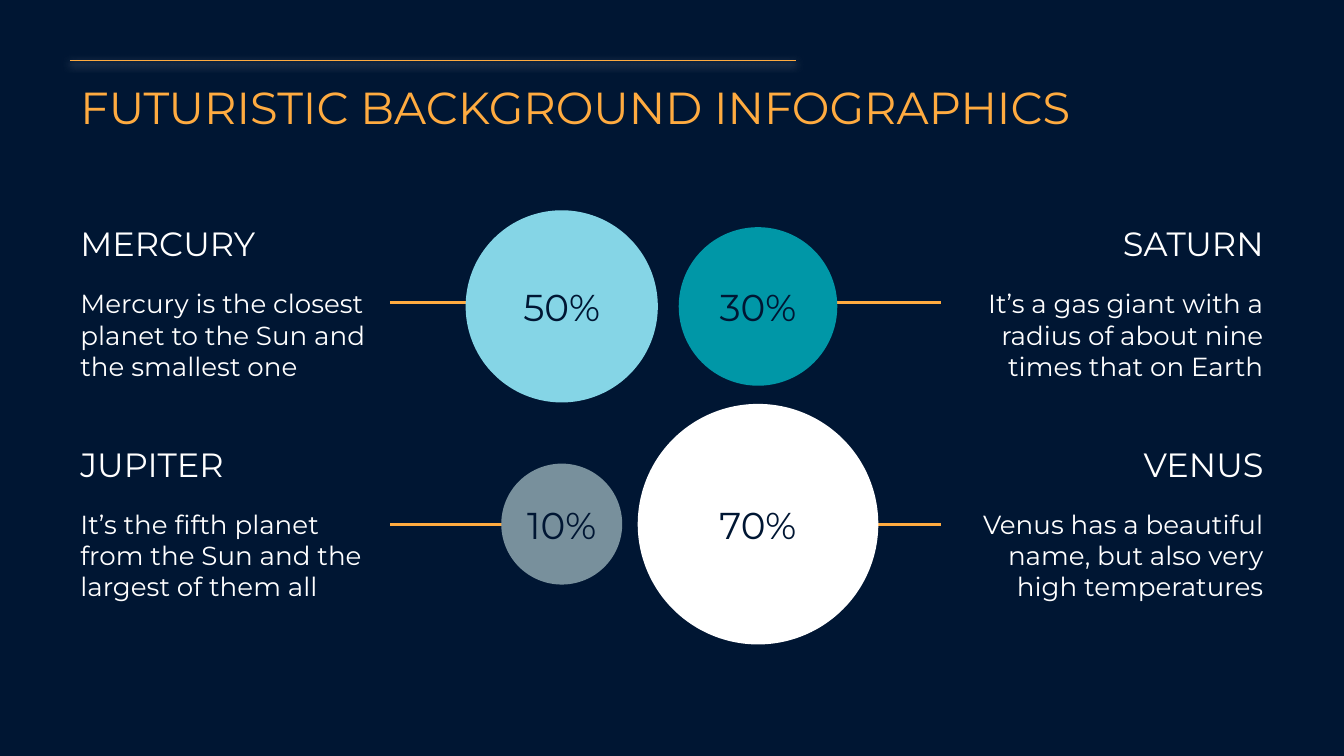
import lxml.etree
import pptx
import pptx.dml.color
import pptx.enum.shapes
import pptx.enum.text
import pptx.oxml
import pptx.oxml.ns
import pptx.util

Inches = pptx.util.Inches
ALIGN = pptx.enum.text.PP_ALIGN
ANCHOR = pptx.enum.text.MSO_ANCHOR
COLORS = {
    "night": "001633",
    "orange": "FFAB40",
    "white": "FFFFFF",
    "sky": "85D5E6",
    "teal": "0097A7",
    "slate": "78909C",
}


def rgb(name):
    return pptx.dml.color.RGBColor.from_string(COLORS[name])


def write(shape, text, size, color="white", align=ALIGN.LEFT, anchor=ANCHOR.TOP, inset=0.1, wrap=True):
    frame = shape.text_frame
    frame.word_wrap = wrap
    frame.vertical_anchor = anchor
    frame.margin_left = frame.margin_right = Inches(inset)
    frame.margin_top = frame.margin_bottom = Inches(inset)
    para = frame.paragraphs[0]
    para.alignment = align
    span = para.add_run()
    span.text = text
    span.font.name = "Montserrat"
    span.font.size = pptx.util.Pt(size)
    span.font.color.rgb = rgb(color)


deck = pptx.Presentation()
deck.slide_width = Inches(10)
deck.slide_height = Inches(10 * 9 / 16)
page = deck.slides.add_slide(deck.slide_layouts[6])
page.background.fill.solid()
page.background.fill.fore_color.rgb = rgb("night")

planets = [
    ("MERCURY", "Mercury is the closest planet to the Sun and the smallest one",
     "50%", "sky", 1.43, "left", 0, 3.52),
    ("SATURN", "It’s a gas giant with a radius of about nine times that on Earth",
     "30%", "teal", 1.18, "right", 0, 6.02),
    ("JUPITER", "It’s the fifth planet from the Sun and the largest of them all",
     "10%", "slate", 0.9, "left", 1, 3.89),
    ("VENUS", "Venus has a beautiful name, but also very high temperatures",
     "70%", "white", 1.79, "right", 1, 6.43),
]
sides = {"left": (0.5, 2.9, 4.18, ALIGN.LEFT), "right": (7.06, 7, 5.64, ALIGN.RIGHT)}
rows = [(1.46, 2.25, 2.28), (3.1, 3.9, 3.9)]

lines = [(0.52, 5.92, 0.45, 0.75)]
for *_, side, row, line_end in planets:
    lines.append((sides[side][1], line_end, rows[row][1], 1.6))

for start, end, top, weight in lines:
    line = page.shapes.add_connector(
        pptx.enum.shapes.MSO_CONNECTOR.STRAIGHT, Inches(start), Inches(top), Inches(end), Inches(top))
    line.line.color.rgb = rgb("orange")
    line.line.width = pptx.util.Pt(weight)
    effects = lxml.etree.SubElement(line._element.spPr, pptx.oxml.ns.qn("a:effectLst"))
    if top == 0.45:
        shadow = lxml.etree.SubElement(
            effects, pptx.oxml.ns.qn("a:outerShdw"), blurRad=str(pptx.util.Pt(4.5)),
            dist=str(pptx.util.Pt(1.5)), dir="5400000", algn="bl", rotWithShape="0")
        tint = lxml.etree.SubElement(shadow, pptx.oxml.ns.qn("a:srgbClr"), val=COLORS["white"])
        lxml.etree.SubElement(tint, pptx.oxml.ns.qn("a:alpha"), val="50000")

title = page.shapes.add_textbox(Inches(0.5), Inches(0.49), Inches(8.75), Inches(0.52))
write(title, "FUTURISTIC BACKGROUND INFOGRAPHICS", 24, color="orange")

for name, fact, share, color, diameter, side, row, _ in planets:
    left, _, center_x, align = sides[side]
    top, _, center_y = rows[row]

    circle = page.shapes.add_shape(
        pptx.enum.shapes.MSO_SHAPE.OVAL, Inches(center_x - diameter / 2),
        Inches(center_y - diameter / 2), Inches(diameter), Inches(diameter))
    circle.shadow.inherit = False
    circle.fill.solid()
    circle.fill.fore_color.rgb = rgb(color)
    circle.line.fill.background()
    write(circle, share, 20, color="night", align=ALIGN.CENTER, anchor=ANCHOR.MIDDLE, inset=0, wrap=False)

    heading = page.shapes.add_textbox(Inches(left), Inches(top), Inches(2.44), Inches(0.6))
    write(heading, name, 18, align=align, anchor=ANCHOR.BOTTOM)
    body = page.shapes.add_textbox(Inches(left), Inches(top + 0.58), Inches(2.44), Inches(0.85))
    write(body, fact, 14, align=align)

deck.save("out.pptx")
